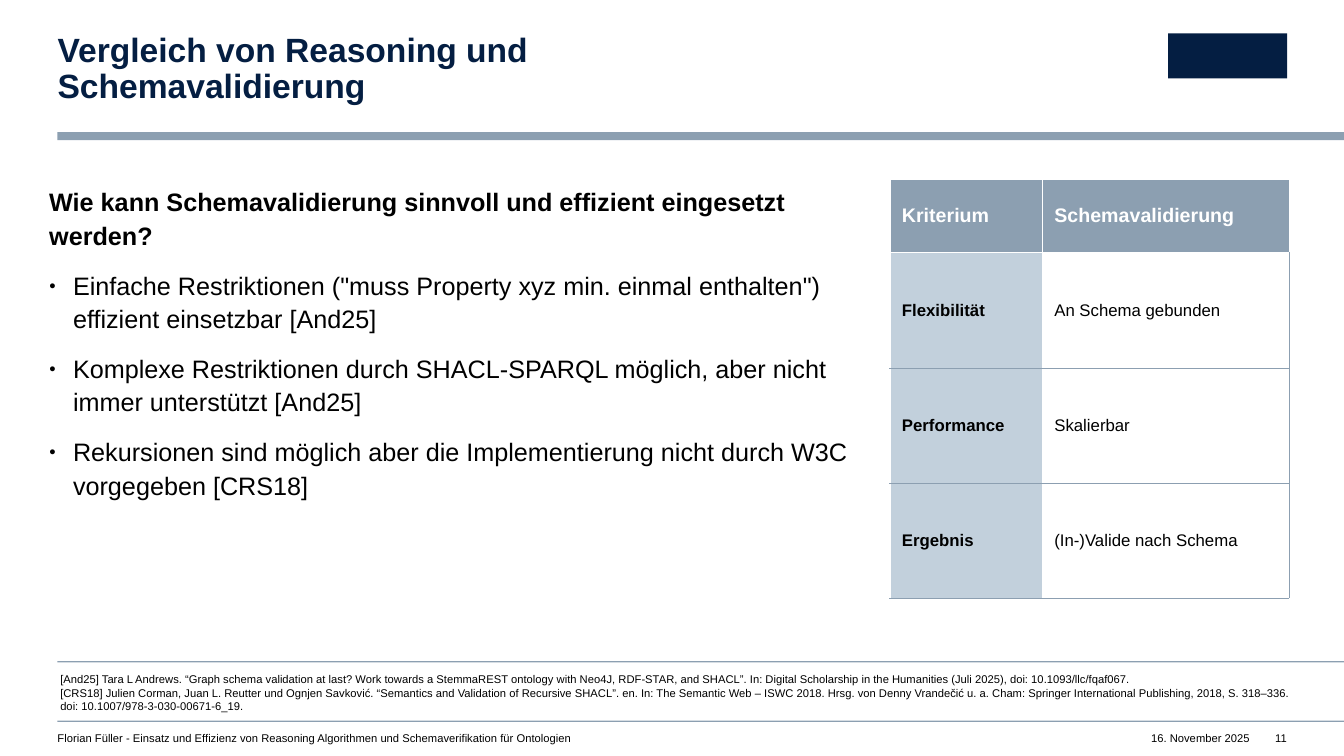
"""Builds a slide comparing reasoning and schema validation."""
from dataclasses import dataclass

from lxml import etree
from pptx import Presentation
from pptx.dml.color import RGBColor
from pptx.enum.shapes import MSO_SHAPE
from pptx.enum.text import MSO_ANCHOR, MSO_AUTO_SIZE, PP_ALIGN
from pptx.oxml.ns import qn
from pptx.util import Cm, Pt

RECTANGLE = MSO_SHAPE.RECTANGLE
TOP, MIDDLE = MSO_ANCHOR.TOP, MSO_ANCHOR.MIDDLE
LEFT, RIGHT = PP_ALIGN.LEFT, PP_ALIGN.RIGHT
NO_FIT = MSO_AUTO_SIZE.NONE


@dataclass(frozen=True)
class Theme:
    font: str = "Arial"
    navy: str = "041E42"
    steel: str = "8C9FB1"
    pale: str = "C2D0DC"
    white: str = "FFFFFF"
    black: str = "000000"
    title: int = 24
    body: int = 18
    header: int = 14
    cell: int = 12
    small: int = 8


def write(para, text, *, font, size, color, bold=False, align=LEFT,
          line=1.0, after=0):
    para.alignment = align
    para.line_spacing = line
    para.space_before = Pt(0)
    para.space_after = Pt(after)
    para.text = text
    for span in para.runs:
        span.font.name = font
        span.font.size = Pt(size)
        span.font.bold = bold
        span.font.color.rgb = RGBColor.from_string(color)


def add_color(parent, tag, color):
    holder = etree.SubElement(parent, qn(tag))
    etree.SubElement(holder, qn("a:srgbClr"), val=color)


def set_bullet(para, color, indent, bulleted):
    properties = para._p.get_or_add_pPr()
    properties.set("marL", str(indent if bulleted else 0))
    properties.set("indent", str(-indent if bulleted else 0))
    if bulleted:
        add_color(properties, "a:buClr", color)
        etree.SubElement(properties, qn("a:buSzPct"), val="45000")
        etree.SubElement(properties, qn("a:buChar"), char="●")
    else:
        etree.SubElement(properties, qn("a:buNone"))


def set_borders(cell, **sides):
    properties = cell._tc.get_or_add_tcPr()
    for side in "LRTB":
        color, width = sides[side]
        border = etree.SubElement(properties, qn(f"a:ln{side}"), w=str(Pt(width)))
        add_color(border, "a:solidFill", color)


class SlideBuilder:
    def __init__(self, page, theme):
        self.page = page
        self.theme = theme

    def frame(self, shape, area, insets=(0, 0)):
        shape.left, shape.top, shape.width, shape.height = map(Cm, area)
        frame = shape.text_frame
        frame.word_wrap = True
        frame.auto_size = NO_FIT
        frame.vertical_anchor = TOP
        frame.margin_left = frame.margin_right = Cm(insets[0])
        frame.margin_top = frame.margin_bottom = Cm(insets[1])
        return frame

    def fill_frame(self, frame, texts, **style):
        for index, text in enumerate(texts):
            para = frame.paragraphs[0] if index == 0 else frame.add_paragraph()
            write(para, text, font=self.theme.font, **style)

    def title(self, text, area):
        frame = self.frame(self.page.shapes.title, area)
        self.fill_frame(frame, [text], size=self.theme.title,
                        color=self.theme.navy, bold=True, line=0.9)

    def question_list(self, question, answers, area):
        frame = self.frame(self.page.placeholders[1], area, (0.25, 0.13))
        for index, text in enumerate([question, *answers]):
            para = frame.paragraphs[0] if index == 0 else frame.add_paragraph()
            set_bullet(para, self.theme.black, Cm(0.6), index > 0)
            write(para, text, font=self.theme.font, size=self.theme.body,
                  color=self.theme.black, bold=index == 0, line=1.1, after=12)

    def small_text(self, texts, area, align=LEFT, insets=(0, 0)):
        box = self.page.shapes.add_textbox(*map(Cm, area))
        self.fill_frame(self.frame(box, area, insets), texts, align=align,
                        size=self.theme.small, color=self.theme.black)

    def block(self, area, color):
        shape = self.page.shapes.add_shape(RECTANGLE, *map(Cm, area))
        shape.shadow.inherit = False
        shape.fill.solid()
        shape.fill.fore_color.rgb = RGBColor.from_string(color)
        shape.line.fill.background()

    def table(self, rows, left, top, widths, heights):
        table = self.page.shapes.add_table(
            len(rows), len(widths), Cm(left), Cm(top),
            Cm(sum(widths)), Cm(sum(heights))).table
        table.first_row = table.horz_banding = False
        for column, width in zip(table.columns, widths):
            column.width = Cm(width)
        for row, height in zip(table.rows, heights):
            row.height = Cm(height)
        for row_index, texts in enumerate(rows):
            for column_index, text in enumerate(texts):
                self.cell(table.cell(row_index, column_index), text,
                          row_index, column_index)

    def cell(self, cell, text, row, column):
        theme = self.theme
        header, label = row == 0, column == 0
        white, steel = (theme.white, 1), (theme.steel, 0.25)
        side = white if header or label else steel
        set_borders(cell, L=side, R=side, T=white if row < 2 else steel,
                    B=white if header else steel)
        if header or label:
            cell.fill.solid()
            cell.fill.fore_color.rgb = RGBColor.from_string(
                theme.steel if header else theme.pale)
        else:
            cell.fill.background()
        cell.vertical_anchor = MIDDLE
        cell.margin_left = cell.margin_right = Cm(0.3)
        cell.margin_top = cell.margin_bottom = Cm(0.13)
        self.fill_frame(cell.text_frame, [text], bold=header or label,
                        size=theme.header if header else theme.cell,
                        color=theme.white if header else theme.black)


def main():
    deck = Presentation()
    deck.slide_width, deck.slide_height = Cm(33.87), Cm(19.05)
    theme = Theme()
    slide = SlideBuilder(deck.slides.add_slide(deck.slide_layouts[1]), theme)

    margin, rule_width = 1.45, 32.42
    for top, height in ((3.33, 0.2), (16.66, 0.03), (18.16, 0.03)):
        slide.block((margin, top, rule_width, height), theme.steel)
    slide.block((29.44, 0.84, 3, 1.14), theme.navy)

    slide.title("Vergleich von Reasoning und Schemavalidierung",
                (margin, 0.84, 19, 0.91))
    slide.question_list(
        "Wie kann Schemavalidierung sinnvoll und effizient eingesetzt werden?",
        ['Einfache Restriktionen ("muss Property xyz min. einmal enthalten") '
         "effizient einsetzbar [And25]",
         "Komplexe Restriktionen durch SHACL-SPARQL möglich, aber nicht immer "
         "unterstützt [And25]",
         "Rekursionen sind möglich aber die Implementierung nicht durch W3C "
         "vorgegeben [CRS18]"],
        (0.99, 4.5, 21, 7.77))
    slide.table(
        [("Kriterium", "Schemavalidierung"),
         ("Flexibilität", "An Schema gebunden"),
         ("Performance", "Skalierbar"),
         ("Ergebnis", "(In-)Valide nach Schema")],
        22.43, 4.52, (3.84, 6.22), (1.85, 2.9, 2.9, 2.9))

    slide.small_text(
        ["[And25] Tara L Andrews. “Graph schema validation at last? Work towards "
         "a StemmaREST ontology with Neo4J, RDF-STAR, and SHACL”. In: Digital "
         "Scholarship in the Humanities (Juli 2025), doi: 10.1093/llc/fqaf067.",
         "[CRS18] Julien Corman, Juan L. Reutter und Ognjen Savković. “Semantics "
         "and Validation of Recursive SHACL”. en. In: The Semantic Web – ISWC "
         "2018. Hrsg. von Denny Vrandečić u. a. Cham: Springer International "
         "Publishing, 2018, S. 318–336. \vdoi: 10.1007/978-3-030-00671-6_19."],
        (1.27, 16.82, 32.6, 1.2), insets=(0.25, 0.13))
    for text, left, width, align in (
            ("Florian Füller - Einsatz und Effizienz von Reasoning Algorithmen "
             "und Schemaverifikation für Ontologien", margin, 27.05, LEFT),
            ("16. November 2025", 28.93, 2.57, RIGHT),
            ("11", 31.9, 0.53, RIGHT)):
        slide.small_text([text], (left, 18.44, width, 0.33), align)

    deck.save("out.pptx")


if __name__ == "__main__":
    main()
